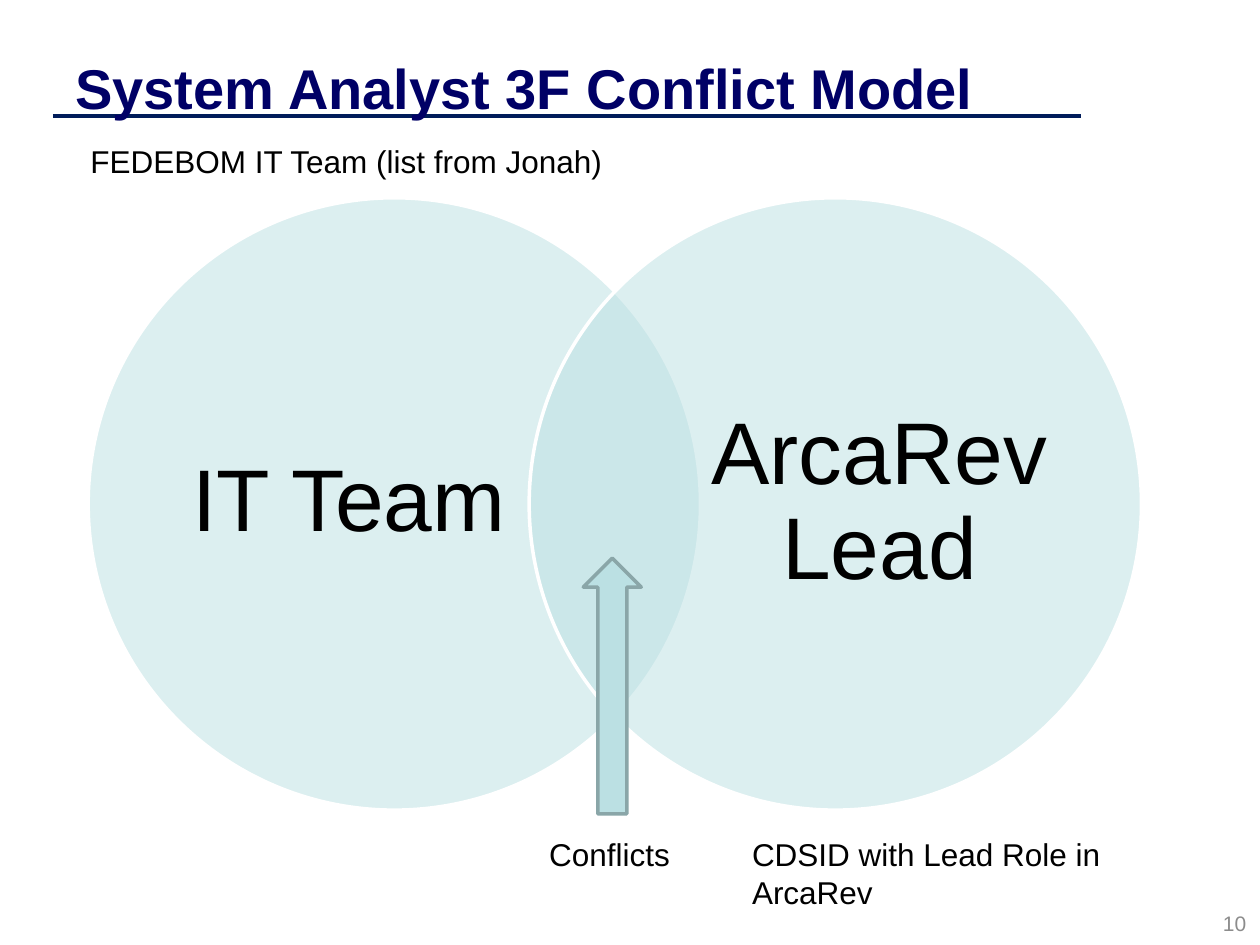
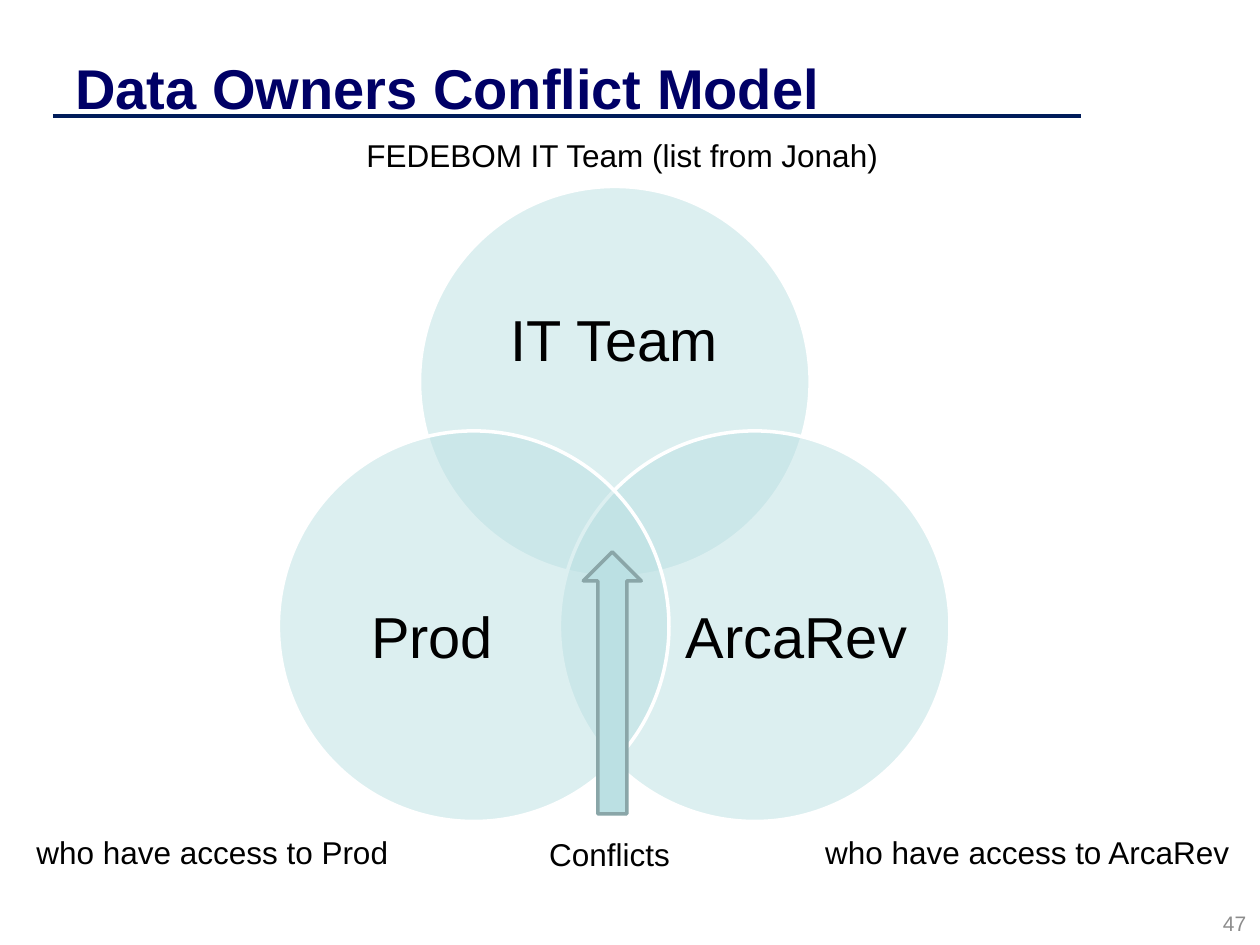
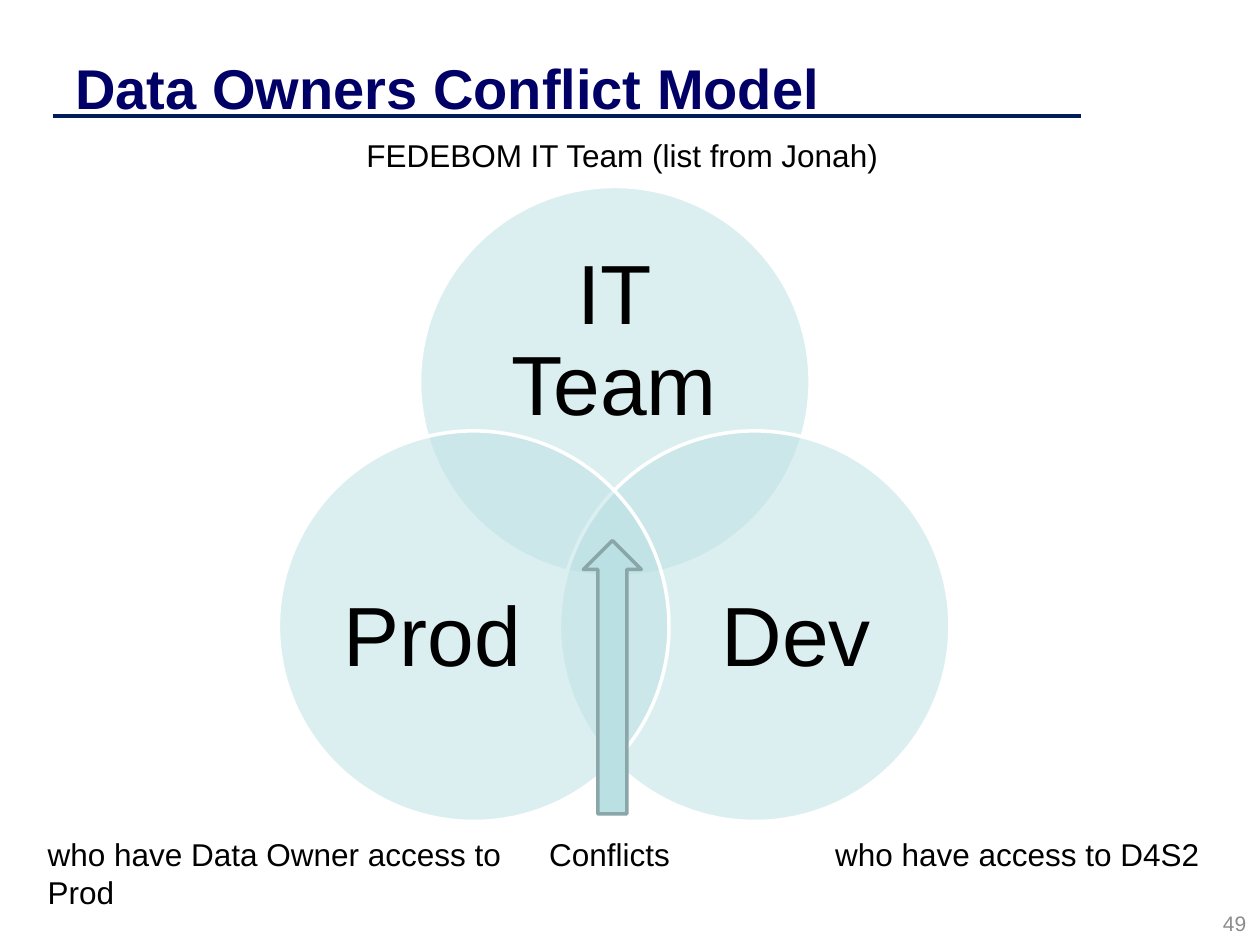
import pptx
import pptx.util
import pptx.dml.color
import pptx.enum.shapes
import pptx.enum.text
import pptx.oxml
import pptx.oxml.ns

RGBColor = pptx.dml.color.RGBColor
SHAPE = pptx.enum.shapes.MSO_SHAPE
ALIGN = pptx.enum.text.PP_ALIGN
ANCHOR = pptx.enum.text.MSO_ANCHOR

PX = 9144  # 100 px to the inch
NAVY = RGBColor(0x00, 0x00, 0x66)
RULE = RGBColor(0x00, 0x1C, 0x5A)
AQUA = RGBColor(0xBB, 0xE0, 0xE3)
AQUA_DARK = RGBColor(0x8A, 0xA6, 0xA8)
GRAY = RGBColor(0x8C, 0x8C, 0x8C)
BLACK = RGBColor(0, 0, 0)
WHITE = RGBColor(0xFF, 0xFF, 0xFF)

# Text formats: font size, weight, colour, and paragraph and frame values
TITLE = {"size": 32, "bold": True, "color": NAVY, "frame": {"vertical_anchor": ANCHOR.MIDDLE}}
CAPTION = {"size": 18}
NUMBER = {"size": 12, "color": GRAY, "para": {"alignment": ALIGN.RIGHT},
          "frame": {"vertical_anchor": ANCHOR.MIDDLE}}
LABEL = {"para": {"alignment": ALIGN.CENTER, "line_spacing": 0.9},
         "frame": {"vertical_anchor": ANCHOR.MIDDLE, "margin_left": 0, "margin_right": 0,
                   "margin_top": 0, "margin_bottom": 0}}

# Circles as (left, top) in the diagram box; labels as a box in their circle
PAIR = {"box": (70, 157), "diameter": 486,
        "circles": [((0, 0), (67, 57, 280, 371)), ((350, 0), (138, 57, 280, 371))]}
TRIO = {"box": (221, 148), "diameter": 310,
        "circles": [((112, 0), (41, 54, 227, 140)), ((223, 194), (95, 80, 186, 171)),
                    ((0, 194), (29, 80, 186, 171))]}


def px(*lengths):
    return [pptx.util.Emu(n * PX) for n in lengths]


def set_all(obj, values):
    for name, value in values.items():
        setattr(obj, name, value)


def add_text(s, box, text, fmt):
    tf = s.shapes.add_textbox(*px(*box)).text_frame
    set_all(tf, {"word_wrap": True, **fmt.get("frame", {})})
    p = tf.paragraphs[0]
    set_all(p, fmt.get("para", {}))
    r = p.add_run()
    r.text = text
    set_all(r.font, {"name": "Arial", "size": pptx.util.Pt(fmt["size"]),
                     "bold": fmt.get("bold", False)})
    r.font.color.rgb = fmt.get("color", BLACK)


def add_filled(s, kind, box, line, alpha=None):
    sp = s.shapes.add_shape(kind, *px(*box))
    sp.shadow.inherit = False
    sp.fill.solid()
    sp.fill.fore_color.rgb = AQUA
    sp.line.color.rgb = line
    sp.line.width = pptx.util.Pt(2)
    if alpha:
        color = sp.fill._xPr.find(".//" + pptx.oxml.ns.qn("a:srgbClr"))
        node = pptx.oxml.parse_xml("<a:alpha %s/>" % pptx.oxml.ns.nsdecls("a"))
        node.set("val", str(alpha * 1000))
        color.append(node)


def add_frame(s, title, number):
    # Title rule, title and slide number
    line = s.shapes.add_connector(pptx.enum.shapes.MSO_CONNECTOR.STRAIGHT, *px(42, 92, 858, 92))
    line.line.color.rgb = RULE
    line.line.width = pptx.util.Pt(2)
    line._element.spPr.append(
        pptx.oxml.parse_xml("<a:effectLst %s/>" % pptx.oxml.ns.nsdecls("a")))
    add_text(s, (50, 30, 800, 78), title, TITLE)
    add_text(s, (766, 716, 233, 34), number, NUMBER)


def add_venn(s, venn, labels, size):
    # Overlapping circles, each with its label
    left, top = venn["box"]
    d = venn["diameter"]
    for ((dx, dy), (lx, ly, w, h)), label in zip(venn["circles"], labels):
        x, y = left + dx, top + dy
        add_filled(s, SHAPE.OVAL, (x, y, d, d), WHITE, alpha=50)
        add_text(s, (x + lx, y + ly, w, h), label, {**LABEL, "size": size})


def add_conflict_arrow(s, tip):
    # Arrow from the word up to the overlap
    add_filled(s, SHAPE.UP_ARROW, (463, tip, 46, 646 - tip), AQUA_DARK)
    add_text(s, (426, 658, 118, 40), "Conflicts", CAPTION)


def add_conflict_slide(prs, title, number, venn, labels, size, tip, captions):
    s = prs.slides.add_slide(prs.slide_layouts[6])
    add_frame(s, title, number)
    add_venn(s, venn, labels, size)
    add_conflict_arrow(s, tip)
    for box, text in captions:
        add_text(s, box, text, CAPTION)


def main():
    prs = pptx.Presentation()
    prs.slide_width, prs.slide_height = px(1000, 750)
    team = "FEDEBOM IT Team (list from Jonah)"
    owners = "Data Owners Conflict Model"
    team_box = (281, 103, 437, 40)

    add_conflict_slide(
        prs, "System Analyst 3F Conflict Model", "10", PAIR, ["IT Team", "ArcaRev Lead"], 50, 443,
        [((587, 658, 359, 71), "CDSID with Lead Role in ArcaRev"),
         ((62, 108, 437, 40), team)])
    add_conflict_slide(
        prs, owners, "47", TRIO, ["IT Team", "ArcaRev", "Prod"], 33, 438,
        [(team_box, team),
         ((645, 656, 394, 40), "who have access to ArcaRev"),
         ((19, 656, 385, 40), "who have access to Prod")])
    add_conflict_slide(
        prs, owners, "49", TRIO, ["IT Team", "Dev", "Prod"], 48, 429,
        [(team_box, team),
         ((653, 658, 394, 40), "who have access to D4S2"),
         ((28, 658, 385, 71), "who have Data Owner access to Prod")])
    prs.save("out.pptx")


if __name__ == "__main__":
    main()
